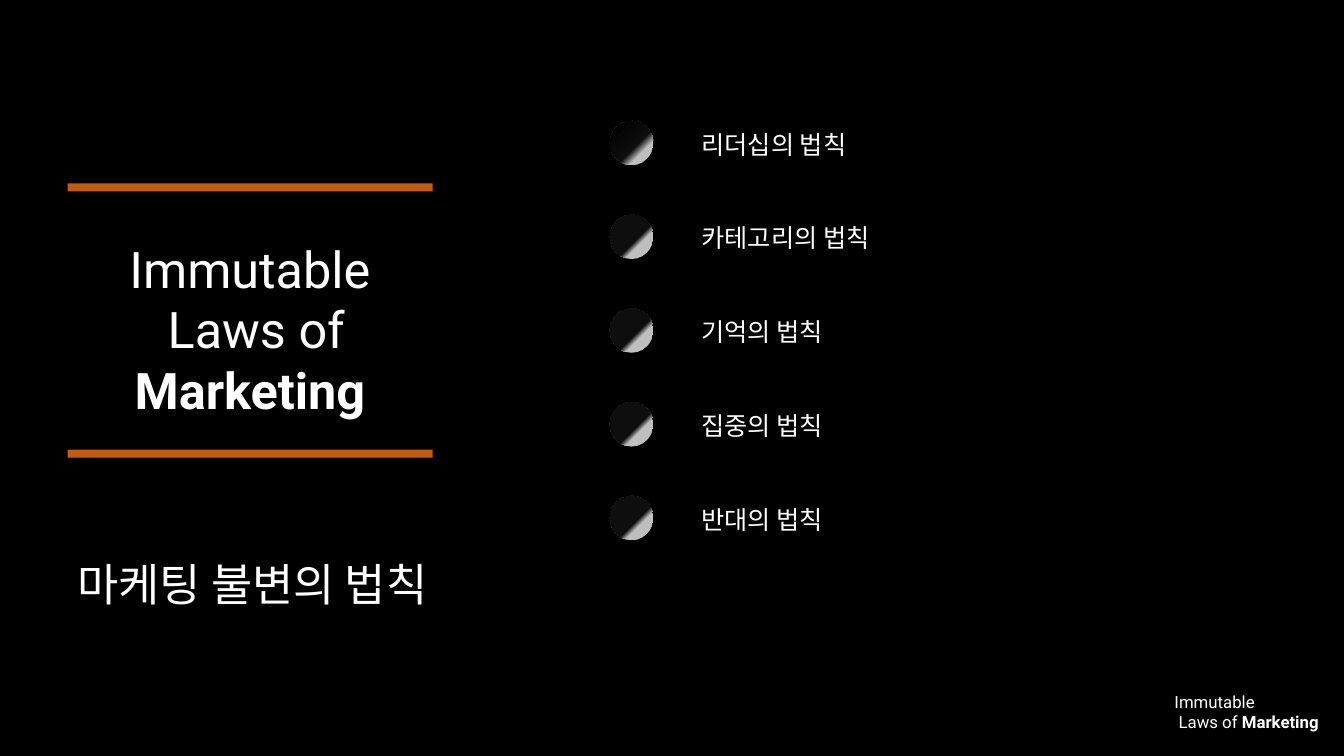
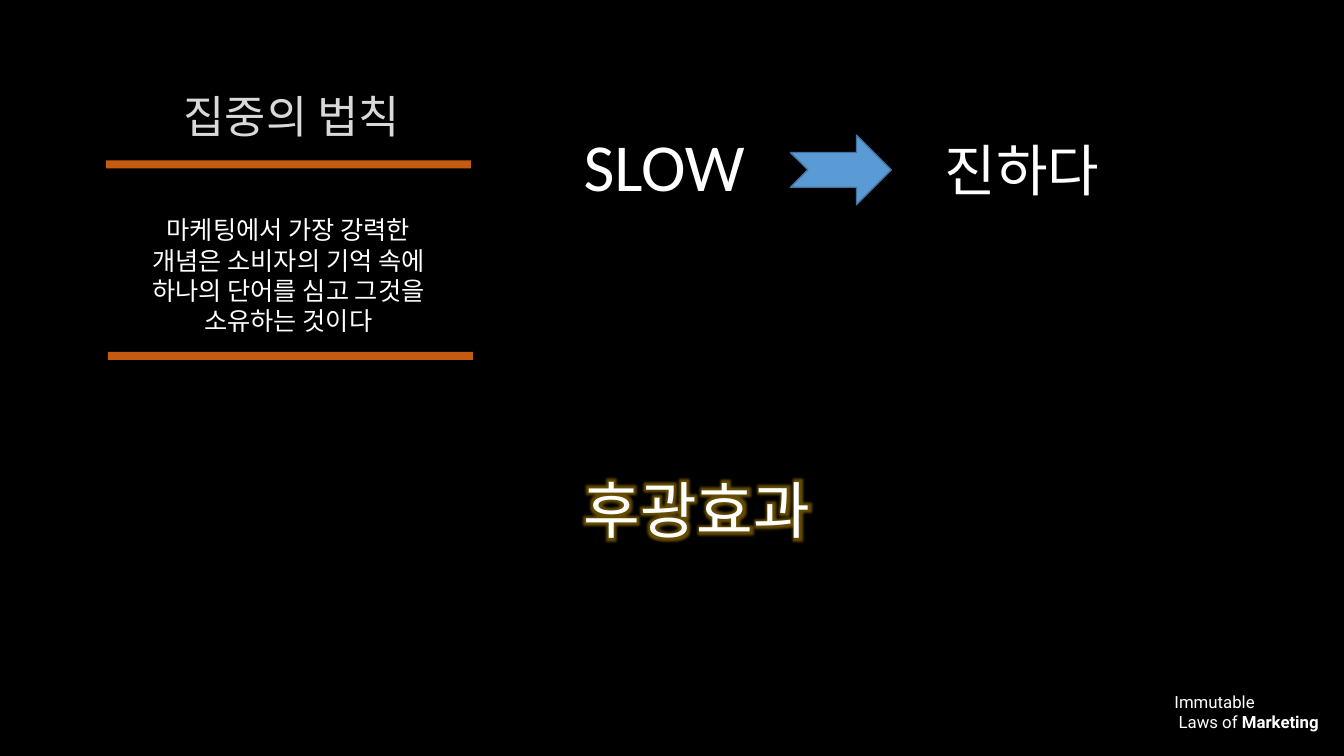
from lxml import etree
from pptx import Presentation
from pptx.dml.color import RGBColor
from pptx.enum.shapes import MSO_SHAPE
from pptx.enum.text import MSO_AUTO_SIZE, PP_ALIGN
from pptx.util import Inches, Pt

LEFT, CENTER = PP_ALIGN.LEFT, PP_ALIGN.CENTER
RECTANGLE, OVAL = MSO_SHAPE.RECTANGLE, MSO_SHAPE.OVAL
NOTCHED_ARROW = MSO_SHAPE.NOTCHED_RIGHT_ARROW
FIT_SHAPE = MSO_AUTO_SIZE.SHAPE_TO_FIT_TEXT
DRAWING_NS = "http://schemas.openxmlformats.org/drawingml/2006/main"

COLORS = {
    "background": "000000", "text": "FFFFFF", "heading": "D9D9D9",
    "bar": "C55A11", "arrow": "5B9BD5", "arrow_edge": "43739E",
    "shadow": "000000", "glow": "FFC000",
}
BODY_FONT, BRAND_FONT = "Calibri", "Roboto"

# Content: a paragraph is a list of (text, bold) runs, or a plain string
BOOK_TITLE = [[("Immutable", False)], [(" Laws of ", False), ("Marketing", True)]]
KOREAN_TITLE = "마케팅 불변의 법칙"
LAWS = ["리더십의 법칙", "카테고리의 법칙", "기억의 법칙", "집중의 법칙", "반대의 법칙"]
FOCUS_HEADING = "집중의 법칙 "
FOCUS_SUMMARY = [
    "마케팅에서 가장 강력한",
    "개념은 소비자의 기억 속에 하나의 단어를 심고 그것을 소유하는 것이다",
]
# text, left, top, width, height, size
FOCUS_WORDS = [
    ("SLOW", 5.69, 1.18, 3.74, 0.91, 48),
    ("진하다", 9.27, 1.3, 2.49, 0.77, 40),
]
HALO_WORD = ("후광효과", 5.69, 4.63, 2.66, 0.84, 44)

# Bullet balls: gradient stops as (percent, colour)
FIRST_BALL = [(0, "000000"), (58, "0D0D0D"), (72, "BFBFBF")]
OTHER_BALL = [(0, "0D0D0D"), (58, "0E0E0E"), (67, "BFBFBF")]
LAW_TOP, LAW_STEP = 1.2, 0.93


def color(name):
    return RGBColor.from_string(COLORS[name])


def drawing_xml(body):
    return etree.fromstring(f'<a:root xmlns:a="{DRAWING_NS}">{body}</a:root>')[0]


def add_text(slide, paragraphs, left, top, width, height, size,
             font=BODY_FONT, align=LEFT, ink="text"):
    box = slide.shapes.add_textbox(
        Inches(left), Inches(top), Inches(width), Inches(height))
    frame = box.text_frame
    frame.word_wrap = True
    frame.auto_size = FIT_SHAPE
    for i, runs in enumerate(paragraphs):
        paragraph = frame.paragraphs[0] if i == 0 else frame.add_paragraph()
        paragraph.alignment = align
        paragraph.font.size = Pt(size)
        paragraph.font.name = font
        paragraph.font.color.rgb = color(ink)
        for text, bold in [(runs, False)] if isinstance(runs, str) else runs:
            run = paragraph.add_run()
            run.text = text
            if bold:
                run.font.bold = True
    return box


def add_plain_shape(slide, kind, left, top, width, height, fill=None):
    shape = slide.shapes.add_shape(
        kind, Inches(left), Inches(top), Inches(width), Inches(height))
    shape.shadow.inherit = False
    shape.line.fill.background()
    if fill:
        shape.fill.solid()
        shape.fill.fore_color.rgb = color(fill)
    return shape


def add_bar(slide, left, top):
    add_plain_shape(slide, RECTANGLE, left, top, 3.62, 0.08, "bar")


def add_ball(slide, top, stops):
    ball = add_plain_shape(slide, OVAL, 6.05, top, 0.43, 0.44)
    properties = ball.element.spPr
    stop_list = "".join(
        f'<a:gs pos="{percent * 1000}"><a:srgbClr val="{shade}"/></a:gs>'
        for percent, shade in stops)
    properties.find(f"{{{DRAWING_NS}}}prstGeom").addnext(drawing_xml(
        f'<a:gradFill rotWithShape="1"><a:gsLst>{stop_list}</a:gsLst>'
        '<a:path path="circle"><a:fillToRect r="100000" b="100000"/></a:path>'
        '</a:gradFill>'))
    properties.find(f"{{{DRAWING_NS}}}effectLst").append(drawing_xml(
        f'<a:outerShdw blurRad="{Pt(3.5)}" dist="{Pt(2.2)}" dir="5400000" '
        f'rotWithShape="0"><a:srgbClr val="{COLORS["shadow"]}">'
        '<a:alpha val="32000"/></a:srgbClr></a:outerShdw>'))


def add_glow(box):
    run = box.text_frame.paragraphs[0].runs[0]
    run.font._element.append(drawing_xml(
        f'<a:effectLst><a:glow rad="{Pt(8)}"><a:srgbClr val="{COLORS["glow"]}">'
        '<a:alpha val="40000"/></a:srgbClr></a:glow></a:effectLst>'))


def new_slide(deck):
    slide = deck.slides.add_slide(deck.slide_layouts[6])
    slide.background.fill.solid()
    slide.background.fill.fore_color.rgb = color("background")
    add_text(slide, BOOK_TITLE, 11.55, 6.81, 1.78, 0.5, 12, BRAND_FONT)
    return slide


def build_contents(deck):
    slide = new_slide(deck)
    add_text(slide, BOOK_TITLE, 1.16, 2.31, 2.64, 1.92, 36, BRAND_FONT, CENTER)
    for top in (1.82, 4.46):
        add_bar(slide, 0.67, top)
    for i, law in enumerate(LAWS):
        top = LAW_TOP + i * LAW_STEP
        add_ball(slide, top, OTHER_BALL if i else FIRST_BALL)
        add_text(slide, [law], 6.86, top + 0.03, 2.2, 0.4, 18)
    add_text(slide, [KOREAN_TITLE], 0.67, 5.47, 3.97, 0.64, 32)


def build_focus(deck):
    slide = new_slide(deck)
    add_text(slide, [FOCUS_HEADING], 1.2, 0.83, 3.49, 0.94, 32,
             align=CENTER, ink="heading")
    for left, top in ((1.05, 1.59), (1.07, 3.49)):
        add_bar(slide, left, top)
    add_text(slide, FOCUS_SUMMARY, 1.05, 2.08, 3.62, 1.31, 18, align=CENTER)

    # Word, arrow, meaning
    for text, *place in FOCUS_WORDS:
        add_text(slide, [text], *place)
    arrow = add_plain_shape(slide, NOTCHED_ARROW, 7.84, 1.34, 1, 0.69, "arrow")
    arrow.line.color.rgb = color("arrow_edge")
    arrow.line.width = Pt(1)

    # Halo effect
    text, *place = HALO_WORD
    add_glow(add_text(slide, [text], *place))


def main():
    deck = Presentation()
    deck.slide_width, deck.slide_height = Inches(13.33), Inches(7.5)
    build_contents(deck)
    build_focus(deck)
    deck.save("out.pptx")


if __name__ == "__main__":
    main()
